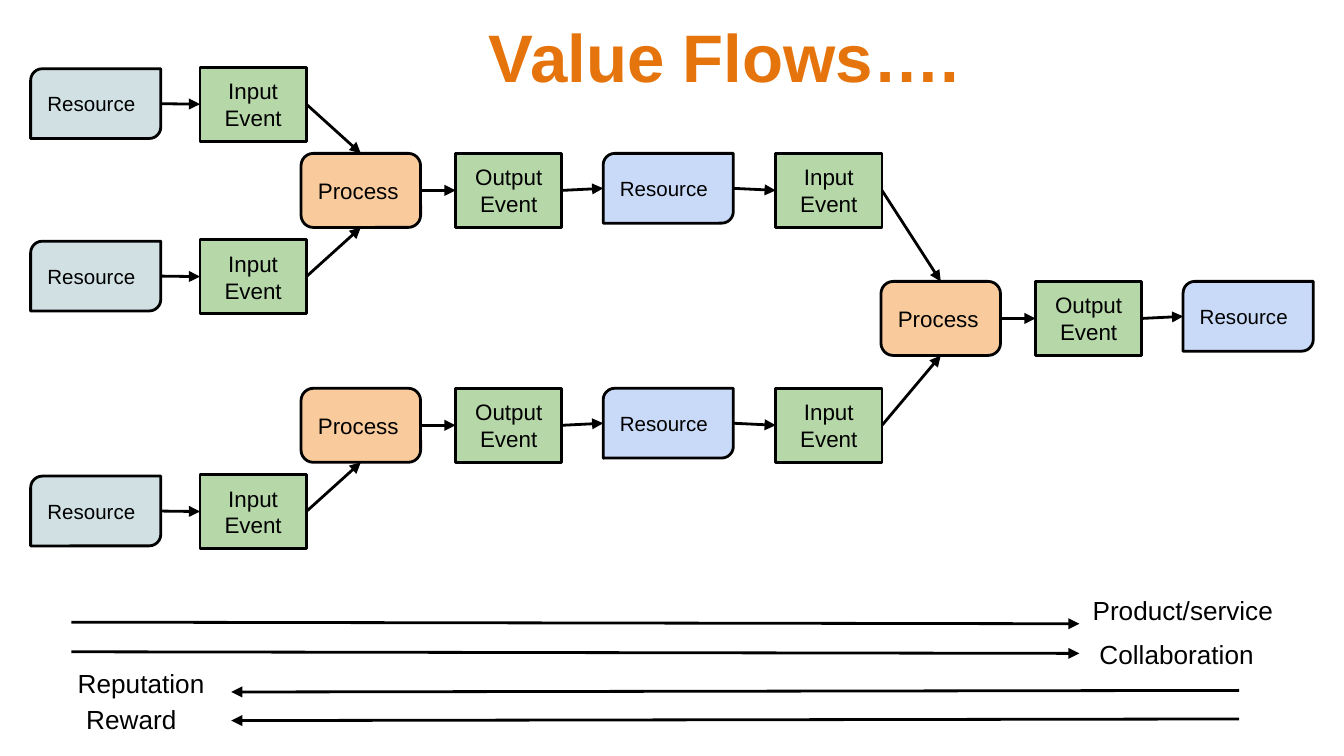
from lxml import etree
from pptx import Presentation
from pptx import util as u
from pptx.dml.color import RGBColor
from pptx.enum import shapes, text
from pptx.oxml.ns import qn

COLORS = {
    "title": "E6740C", "ink": "000000", "process": "F9CB9C",
    "event": "B6D7A8", "supply": "D0E0E3", "product": "C9DAF8",
}
SHAPE = shapes.MSO_SHAPE
NODES = {
    "process": (SHAPE.ROUNDED_RECTANGLE, 2.26, 1.4, 12),
    "event": (SHAPE.RECTANGLE, 2.01, 1.4, 12),
    "supply": (SHAPE.ROUND_2_DIAG_RECTANGLE, 2.46, 1.32, 11),
    "product": (SHAPE.ROUND_2_DIAG_RECTANGLE, 2.46, 1.32, 11),
}


def rgb(name):
    """Return the named colour."""
    return RGBColor.from_string(COLORS[name])


def write(s, words, size, color="ink", bold=False, align=text.PP_ALIGN.LEFT,
          anchor=text.MSO_ANCHOR.TOP, inset=0.25):
    """Fill a shape with formatted text."""
    tf = s.text_frame
    tf.text = words
    tf.word_wrap = True
    tf.auto_size = text.MSO_AUTO_SIZE.NONE
    tf.vertical_anchor = anchor
    tf.margin_left = tf.margin_right = u.Cm(0.25)
    tf.margin_top = tf.margin_bottom = u.Cm(inset)
    for p in tf.paragraphs:
        p.alignment = align
        for r in p.runs:
            r.font.name = "Arial"
            r.font.size = u.Pt(size)
            r.font.bold = bold
            r.font.color.rgb = rgb(color)


def add_node(slide, kind, words, x, y):
    """Add one node of the flow at x, y in centimetres."""
    preset, w, h, size = NODES[kind]
    sp = slide.shapes.add_shape(preset, u.Cm(x), u.Cm(y), u.Cm(w), u.Cm(h))
    sp.shadow.inherit = False
    sp.fill.solid()
    sp.fill.fore_color.rgb = rgb(kind)
    sp.line.color.rgb = rgb("ink")
    sp.line.width = u.Pt(1.5)
    align = text.PP_ALIGN.CENTER if kind == "event" else text.PP_ALIGN.LEFT
    write(sp, words, size, align=align, anchor=text.MSO_ANCHOR.MIDDLE)
    return sp


def add_arrow(slide, start, end):
    """Draw a straight arrow between two points."""
    c = slide.shapes.add_connector(shapes.MSO_CONNECTOR.STRAIGHT, *start, *end)
    c.line.color.rgb = rgb("ink")
    c.line.width = u.Pt(1.5)
    etree.SubElement(c.line._get_or_add_ln(), qn("a:tailEnd"), type="triangle")
    etree.SubElement(c._element.spPr, qn("a:effectLst"))


def side(s, name):
    """Return the middle of a side of a shape."""
    return {
        "left": (s.left, s.top + s.height // 2),
        "right": (s.left + s.width, s.top + s.height // 2),
        "top": (s.left + s.width // 2, s.top),
        "bottom": (s.left + s.width // 2, s.top + s.height),
    }[name]


def add_chain(slide, x, y, steps):
    """Add a row of nodes joined by arrows and return the nodes."""
    nodes = [add_node(slide, kind, words, x + dx, y + dy)
             for kind, words, dx, dy in steps]
    for a, b in zip(nodes, nodes[1:]):
        add_arrow(slide, side(a, "right"), side(b, "left"))
    return nodes


def add_flow(slide, x, y):
    """Add the network of resources, events and processes."""
    supply = [("supply", "Resource", 0, 0.03), ("event", "Input\nEvent", 3.2, 0)]
    stage = [("process", "Process", 0, 0), ("event", "Output\nEvent", 2.92, 0),
             ("product", "Resource", 5.71, 0)]
    handover = stage + [("event", "Input\nEvent", 8.97, 0)]
    upper = add_chain(slide, x + 5.11, y + 1.63, handover)
    lower = add_chain(slide, x + 5.11, y + 6.07, handover)
    final = add_chain(slide, x + 16.07, y + 4.05, stage)
    inputs = [add_chain(slide, x, y + dy, supply) for dy in (0, 3.26, 7.7)]
    joins = [(inputs[0], upper, "top"), (inputs[1], upper, "bottom"),
             (inputs[2], lower, "bottom"), (upper, final, "top"),
             (lower, final, "bottom")]
    for source, target, edge in joins:
        add_arrow(slide, side(source[-1], "right"), side(target[0], edge))


def add_streams(slide, x, y):
    """Add the long arrows and their labels."""
    for dy, start, end in [(0, 0, 19.05), (0.56, 0, 19.05),
                           (1.29, 22.07, 3.02), (1.83, 22.07, 3.02)]:
        add_arrow(slide, (u.Cm(x + start), u.Cm(y + dy)),
                  (u.Cm(x + end), u.Cm(y + dy + 0.03)))
    labels = [("Product/service", 19.05, -0.61, 4.42, 0.33, 0.08),
              ("Collaboration", 19.18, 0.1, 3.56, 0.46, 0.2),
              ("Reputation", -0.13, 0.61, 3.86, 0.91, 0.25),
              ("Reward", 0.03, 1.29, 3, 0.76, 0.25)]
    for words, dx, dy, w, h, inset in labels:
        s = slide.shapes.add_textbox(u.Cm(x + dx), u.Cm(y + dy), u.Cm(w), u.Cm(h))
        write(s, words, 14, inset=inset)


def add_title(slide, x, y, w, h):
    """Place the title in the given box."""
    s = slide.shapes.title
    s.left, s.top, s.width, s.height = u.Cm(x), u.Cm(y), u.Cm(w), u.Cm(h)
    write(s, "Value Flows….", 36, "title", bold=True)


def main():
    """Build and save the slide."""
    prs = Presentation()
    prs.slide_width, prs.slide_height = u.Cm(25.4), u.Cm(14.29)
    slide = prs.slides.add_slide(prs.slide_layouts[5])
    add_title(slide, 8.99, 0.03, 13.39, 1.4)
    add_flow(slide, 0.58, 1.27)
    add_streams(slide, 1.35, 11.76)
    prs.save("out.pptx")


if __name__ == "__main__":
    main()
